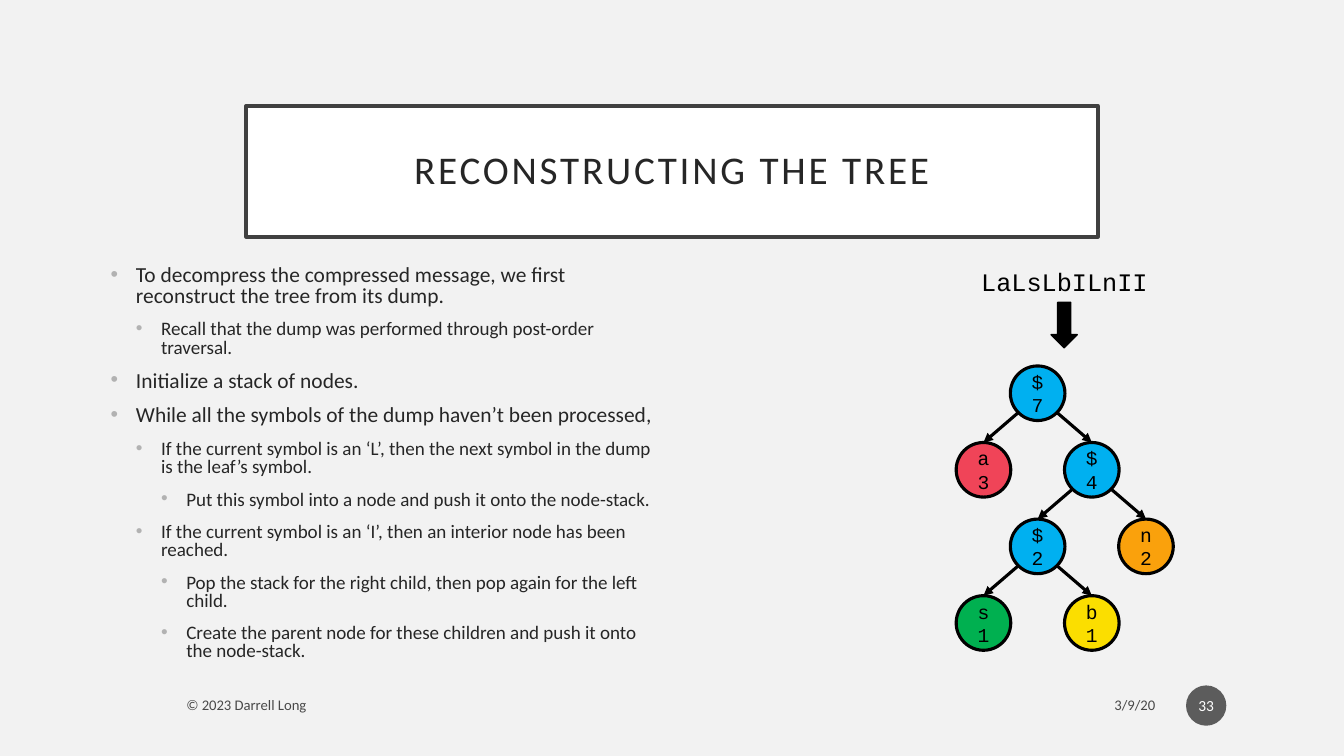
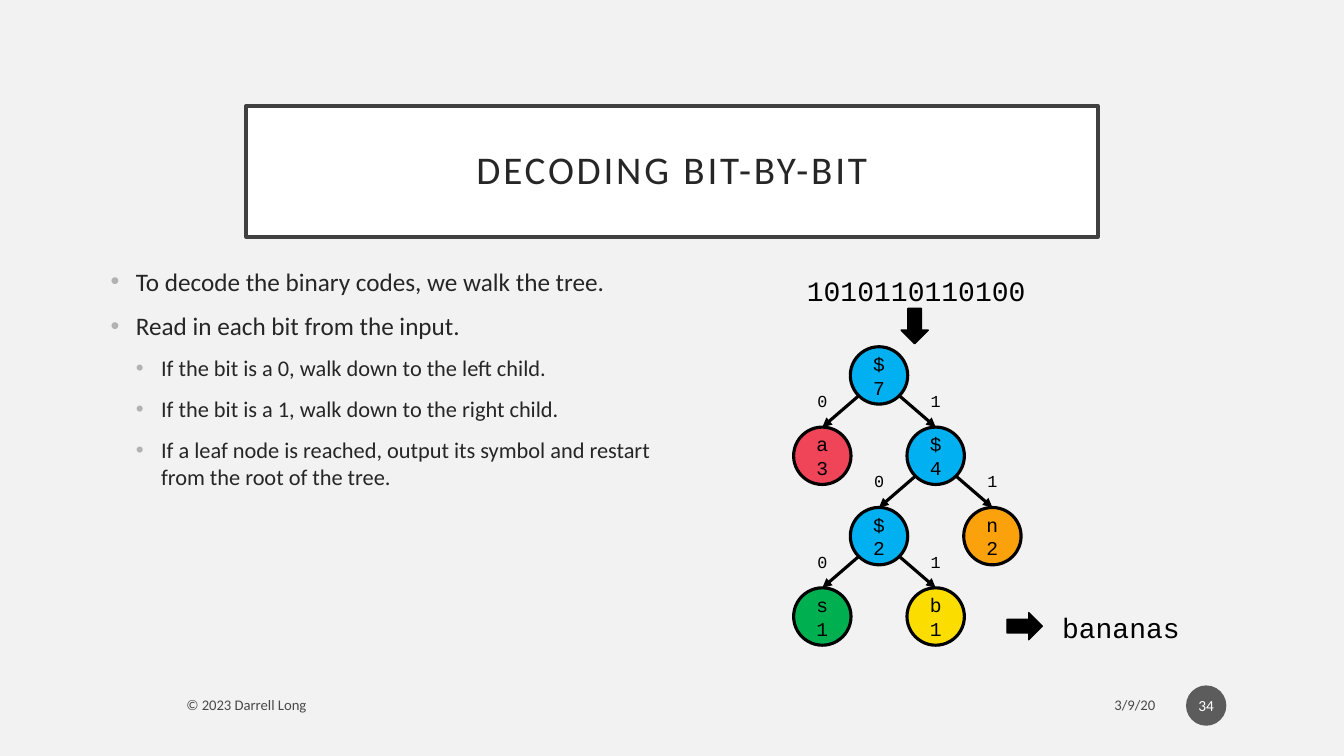
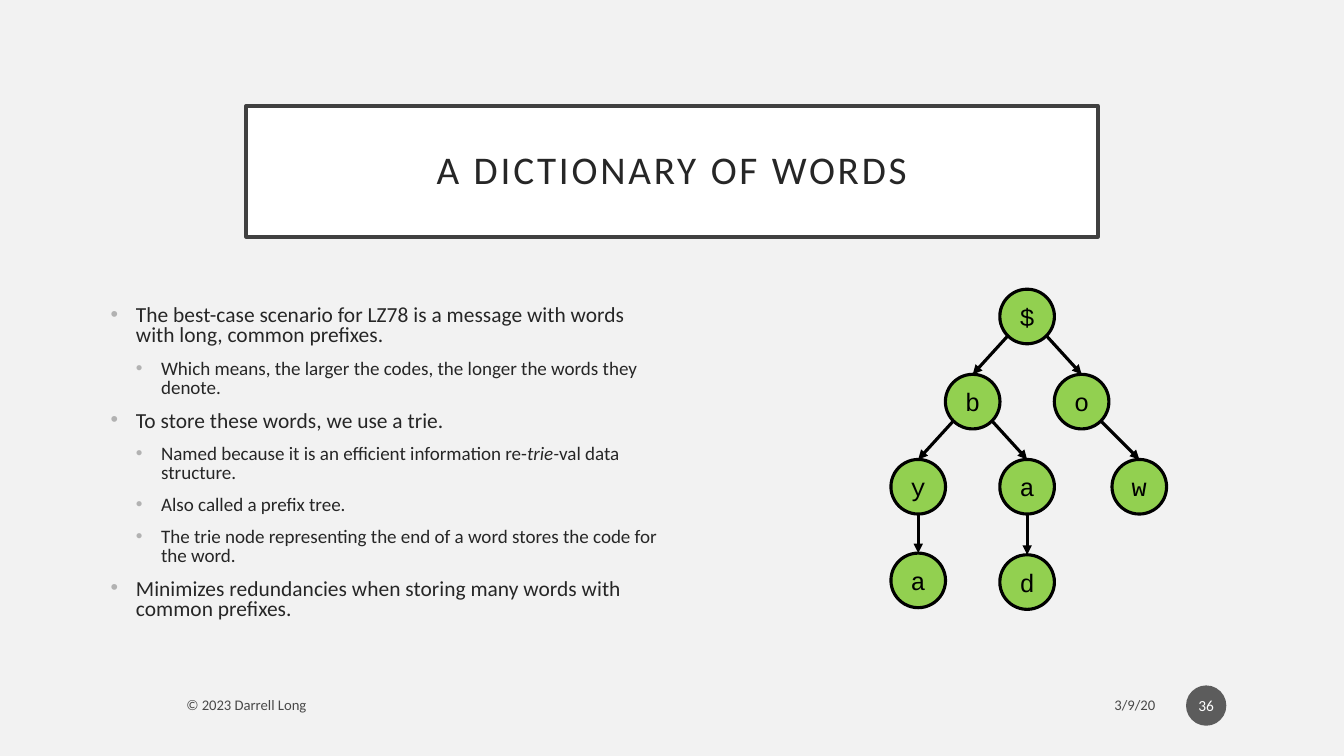
from lxml import etree
from pptx import Presentation
from pptx.dml.color import RGBColor
from pptx.enum.shapes import MSO_CONNECTOR, MSO_SHAPE
from pptx.enum.text import MSO_ANCHOR, PP_ALIGN
from pptx.oxml.ns import qn
from pptx.util import Pt

# Enum members
OVAL = MSO_SHAPE.OVAL
DOWN = MSO_SHAPE.DOWN_ARROW
RIGHT = MSO_SHAPE.RIGHT_ARROW
LINE = MSO_CONNECTOR.STRAIGHT
MIDDLE = MSO_ANCHOR.MIDDLE
TOP = MSO_ANCHOR.TOP
LEFT_AL = PP_ALIGN.LEFT
CENTER = PP_ALIGN.CENTER
RIGHT_AL = PP_ALIGN.RIGHT

# Colours
PAPER = RGBColor(0xF2, 0xF2, 0xF2)
WHITE = RGBColor(0xFF, 0xFF, 0xFF)
BLACK = RGBColor(0x00, 0x00, 0x00)
FRAME = RGBColor(0x40, 0x40, 0x40)
INK = RGBColor(0x26, 0x26, 0x26)
BADGE = RGBColor(0x1D, 0x1D, 0x1D)
RED = RGBColor(0xF0, 0x44, 0x58)
ORANGE = RGBColor(0xFA, 0xA1, 0x0C)
YELLOW = RGBColor(0xFB, 0xDE, 0x00)
GREEN = RGBColor(0x00, 0xB0, 0x50)
BLUE = RGBColor(0x00, 0xB0, 0xF0)
LIME = RGBColor(0x92, 0xD0, 0x50)
DOT = "B2B2B2"

# Fonts and sizes
SANS = "Calibri"
MONO = "Courier New"
SMALL = (15.3, 13.6, 13.6)
LARGE = (18, 16, 16)
INDENT = 18
STROKE = 2.25
DIAG = 0.707  # circle point at 45 degrees

# Trees: key -> (label, column, row, fill, parent), columns from the root
HUFFMAN = {
    "root": ("$ 7", 0, 0, BLUE, None),
    "a": ("a 3", -1, 1, RED, "root"),
    "four": ("$ 4", 1, 1, BLUE, "root"),
    "two": ("$ 2", 0, 2, BLUE, "four"),
    "n": ("n 2", 2, 2, ORANGE, "four"),
    "s": ("s 1", -1, 3, GREEN, "two"),
    "b": ("b 1", 1, 3, YELLOW, "two"),
}
TRIE = {
    "root": ("$", 0, 0, LIME, None),
    "b": ("b", -1, 1, LIME, "root"),
    "o": ("o", 1, 1, LIME, "root"),
    "by": ("y", -2, 2, LIME, "b"),
    "ba": ("a", 0, 2, LIME, "b"),
    "ow": ("w", 2.06, 2, LIME, "o"),
    "bya": ("a", -2, 3.1, LIME, "by"),
    "bad": ("d", 0, 3.12, LIME, "ba"),
}

# Bullets: (level, text); stars enclose italics
REBUILD = [
    (0, "To decompress the compressed message, we first reconstruct the tree from its dump."),
    (1, "Recall that the dump was performed through post-order traversal."),
    (0, "Initialize a stack of nodes."),
    (0, "While all the symbols of the dump haven’t been processed,"),
    (1, "If the current symbol is an ‘L’, then the next symbol in the dump is the leaf’s symbol."),
    (2, "Put this symbol into a node and push it onto the node-stack."),
    (1, "If the current symbol is an ‘I’, then an interior node has been reached."),
    (2, "Pop the stack for the right child, then pop again for the left child."),
    (2, "Create the parent node for these children and push it onto the node-stack."),
]
DECODE = [
    (0, "To decode the binary codes, we walk the tree."),
    (0, "Read in each bit from the input."),
    (1, "If the bit is a 0, walk down to the left child."),
    (1, "If the bit is a 1, walk down to the right child."),
    (1, "If a leaf node is reached, output its symbol and restart from the root of the tree."),
]
WORDS = [
    (0, "The best-case scenario for LZ78 is a message with words with long, common prefixes."),
    (1, "Which means, the larger the codes, the longer the words they denote."),
    (0, "To store these words, we use a trie."),
    (1, "Named because it is an efficient information re-*trie-*val data structure."),
    (1, "Also called a prefix tree."),
    (1, "The trie node representing the end of a word stores the code for the word."),
    (0, "Minimizes redundancies when storing many words with common prefixes."),
]


def box(*sizes):
    return [Pt(size) for size in sizes]


def add_run(para, text, size, font, color):
    run = para.add_run()
    run.text = text
    run.font.size = Pt(size)
    run.font.name = font
    run.font.color.rgb = color
    return run


def fade(part, share=70):
    """Make the colours below an XML part translucent."""
    for color in part.iter(qn("a:srgbClr")):
        etree.SubElement(color, qn("a:alpha")).set("val", str(share * 1000))


def write(frame, text, size, font, color=BLACK, align=CENTER, anchor=MIDDLE):
    """Fill a frame with one paragraph and return its run."""
    frame.word_wrap = True
    frame.vertical_anchor = anchor
    para = frame.paragraphs[0]
    para.alignment = align
    return add_run(para, text, size, font, color)


def add_label(slide, area, text, size, font=MONO, align=CENTER, anchor=TOP):
    label = slide.shapes.add_textbox(*box(*area))
    return write(label.text_frame, text, size, font, align=align, anchor=anchor)


def add_solid(slide, kind, area, fill, weight=0):
    shape = slide.shapes.add_shape(kind, *box(*area))
    shape.shadow.inherit = False
    shape.fill.solid()
    shape.fill.fore_color.rgb = fill
    if weight:
        shape.line.color.rgb = BLACK
        shape.line.width = Pt(weight)
    else:
        shape.line.fill.background()
    return shape


def add_edge(slide, *ends):
    edge = slide.shapes.add_connector(LINE, *box(*ends))
    edge.line.color.rgb = BLACK
    edge.line.width = Pt(STROKE)
    props = edge._element.spPr
    etree.SubElement(props.find(qn("a:ln")), qn("a:tailEnd")).set("type", "triangle")
    etree.SubElement(props, qn("a:effectLst"))


def add_tree(slide, nodes, root, step, width, size, bits=False):
    """Draw circles on a grid around the root, with an arrow from each parent."""
    spots = {key: (root[0] + col * step[0], root[1] + row * step[1])
             for key, (_, col, row, _, _) in nodes.items()}
    half = width / 2
    for key, (text, _, _, fill, parent) in nodes.items():
        x, y = spots[key]
        node = add_solid(slide, OVAL, (x - half, y - half, width, width), fill, STROKE)
        write(node.text_frame, text, size, MONO)
        if parent is None:
            continue
        px, py = spots[parent]
        side = (x > px) - (x < px)
        drop = half * DIAG if side else half
        add_edge(slide, px + side * half * DIAG, py + drop, x, y - half)
        if bits:
            add_label(slide, (x - 12, y - 50, 24, 22), "1" if side > 0 else "0", 12)


def add_bullets(slide, top, items, sizes, spacing):
    body = slide.shapes.add_textbox(*box(72, top, 408, 312))
    frame = body.text_frame
    frame.word_wrap = True
    for pos, (level, text) in enumerate(items):
        para = frame.add_paragraph() if pos else frame.paragraphs[0]
        props = para._p.get_or_add_pPr()
        props.set("marL", str(Pt(INDENT * (level + 1))))
        props.set("indent", str(-Pt(INDENT)))
        tint = etree.SubElement(props, qn("a:buClr"))
        etree.SubElement(tint, qn("a:srgbClr")).set("val", DOT)
        etree.SubElement(props, qn("a:buFont")).set("typeface", "Arial")
        etree.SubElement(props, qn("a:buChar")).set("char", "•")
        para.level = level
        para.line_spacing = spacing
        para.space_before = Pt(10 if pos else 0)
        for part, chunk in enumerate(text.split("*")):
            run = add_run(para, chunk, sizes[level], SANS, INK)
            if part % 2:
                run.font.italic = True


def add_slide(deck, title, number):
    """Start a slide with the framed title and the footer."""
    slide = deck.slides.add_slide(deck.slide_layouts[5])
    head = slide.shapes.title
    head.left, head.top, head.width, head.height = box(175.8, 75.6, 608.4, 93.6)
    head.fill.solid()
    head.fill.fore_color.rgb = WHITE
    head.line.color.rgb = FRAME
    head.line.width = Pt(2.5)
    run = write(head.text_frame, title, 28, SANS, INK)
    run._r.get_or_add_rPr().set("spc", "200")
    head.text_frame.paragraphs[0].line_spacing = 0.9

    # Footer
    for area, text, align in (((615.6, 491, 216.7, 25.2), "3/9/20", RIGHT_AL),
                              ((126, 491, 464.4, 25.2), "© 2023 Darrell Long", LEFT_AL)):
        fade(add_label(slide, area, text, 10.5, SANS, align, MIDDLE)._r)
    badge = add_solid(slide, OVAL, (847.2, 489.6, 28.8, 28.8), BADGE)
    fade(badge._element.spPr)
    frame = badge.text_frame
    frame.margin_left = frame.margin_right = Pt(1.4)
    write(frame, number, 11, SANS, WHITE)
    return slide


def main():
    deck = Presentation()
    deck.slide_width, deck.slide_height = box(960, 540)
    paper = deck.slide_master.background.fill
    paper.solid()
    paper.fore_color.rgb = PAPER

    # Tree from its dump
    slide = add_slide(deck, "RECONSTRUCTING THE TREE", "33")
    add_bullets(slide, 186.5, REBUILD, SMALL, 0.8)
    add_tree(slide, HUFFMAN, (741.2, 280.9), (38.7, 54.7), 39, 14)
    add_label(slide, (658.8, 186.5, 203, 28.8), "LaLsLbILnII", 18)
    add_solid(slide, DOWN, (750.8, 216, 18.7, 32.4), BLACK, 1)

    # Walk by bits
    slide = add_slide(deck, "DECODING BIT-BY-BIT", "34")
    add_bullets(slide, 186.5, DECODE, LARGE, 1.0)
    add_tree(slide, HUFFMAN, (627.9, 268.2), (40.5, 57.4), 41, 14, bits=True)
    add_label(slide, (568, 191.5, 173, 31.7), "1010110110100", 20)
    add_solid(slide, DOWN, (643.7, 220.3, 19.4, 25.2), BLACK, 1)
    add_solid(slide, RIGHT, (719.3, 437.6, 25.2, 19.4), BLACK, 1)
    add_label(slide, (714.2, 432.7, 173, 31.7), "bananas", 20)

    # Trie
    slide = add_slide(deck, "A DICTIONARY OF WORDS", "36")
    add_bullets(slide, 215, WORDS, SMALL, 0.8)
    add_tree(slide, TRIE, (733.7, 226.1), (38.9, 60.8), 39, 18)

    deck.save("out.pptx")


if __name__ == "__main__":
    main()
